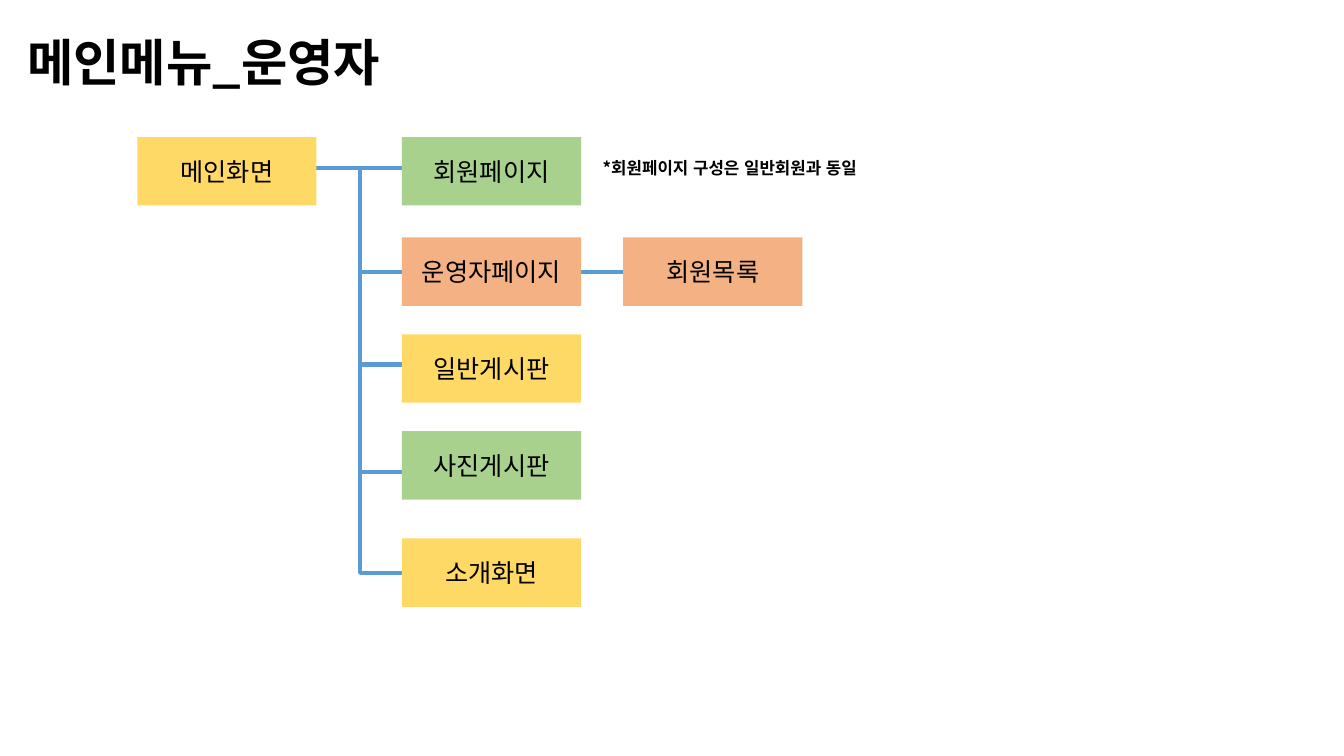
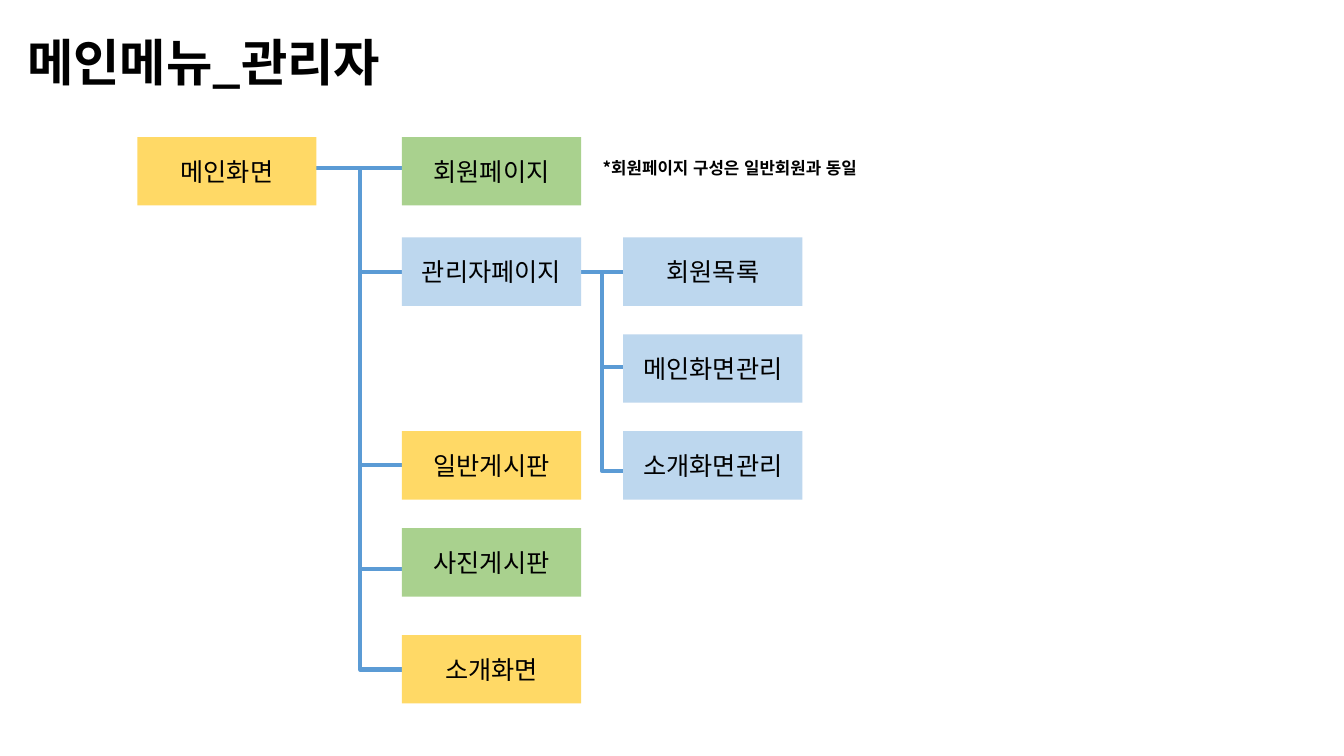
from lxml import etree
from pptx import Presentation
from pptx import util as u
from pptx.dml.color import RGBColor
from pptx.enum import lang, shapes, text
from pptx.oxml.ns import qn

Pt = u.Pt
FONT = "Noto Sans CJK KR"
BLACK = RGBColor(0x00, 0x00, 0x00)
LINE = RGBColor(0x5B, 0x9B, 0xD5)
YELLOW = RGBColor(0xFF, 0xD9, 0x66)
GREEN = RGBColor(0xA9, 0xD1, 0x8E)
ORANGE = RGBColor(0xF4, 0xB1, 0x83)
BLUE = RGBColor(0xBD, 0xD7, 0xEE)

BOX_W, BOX_H = 128, 48.9
ROOT_X, MENU_X, SUB_X = 98.1, 287.1, 445.2
MENU_TRUNK, SUB_TRUNK = 257.2, 430
ROWS = [97.9, 169.6, 238.8, 308, 377.2]
ROOT_JOIN, PAGE_JOIN = 120.2, 194.4

ROOT = ("메인화면", YELLOW, ROWS[0], ROOT_JOIN)
MEMBER = ("회원페이지", GREEN, ROWS[0], ROOT_JOIN)
NOTE = "*회원페이지 구성은 일반회원과 동일"

SLIDES = [
    ("메인메뉴_운영자",
     [MEMBER,
      ("운영자페이지", ORANGE, ROWS[1], PAGE_JOIN),
      ("일반게시판", YELLOW, ROWS[2], 260.4),
      ("사진게시판", GREEN, ROWS[3], 337.4),
      ("소개화면", YELLOW, 384.6, 409.2)],
     [("회원목록", ORANGE, ROWS[1], PAGE_JOIN)]),
    ("메인메뉴_관리자",
     [MEMBER,
      ("관리자페이지", BLUE, ROWS[1], PAGE_JOIN),
      ("일반게시판", YELLOW, ROWS[3], 332.4),
      ("사진게시판", GREEN, ROWS[4], 406.4),
      ("소개화면", YELLOW, 453.6, 478.2)],
     [("회원목록", BLUE, ROWS[1], PAGE_JOIN),
      ("메인화면관리", BLUE, ROWS[2], 262.2),
      ("소개화면관리", BLUE, ROWS[3], 336.4)]),
]


def write(tf, words, size, bold=False, align=text.PP_ALIGN.LEFT):
    tf.text = words
    p = tf.paragraphs[0]
    p.alignment = align
    r = p.runs[0]
    r.font.name = FONT
    r.font.size = Pt(size)
    r.font.bold = bold
    r.font.color.rgb = BLACK
    r.font.language_id = lang.MSO_LANGUAGE_ID.KOREAN
    ea = etree.SubElement(r.font._element, qn("a:ea"))
    ea.set("typeface", FONT)


def add_title(s, words):
    sp = s.shapes.title
    sp.left, sp.top, sp.width, sp.height = Pt(12.2), Pt(18.7), Pt(324), Pt(51)
    tf = sp.text_frame
    tf.word_wrap = True
    tf.auto_size = text.MSO_AUTO_SIZE.SHAPE_TO_FIT_TEXT
    tf.vertical_anchor = text.MSO_ANCHOR.TOP
    write(tf, words, 36, bold=True)


def add_note(s):
    sp = s.shapes.add_textbox(Pt(423.4), Pt(109.4), Pt(214.6), Pt(21.8))
    tf = sp.text_frame
    tf.word_wrap = False
    tf.auto_size = text.MSO_AUTO_SIZE.SHAPE_TO_FIT_TEXT
    write(tf, NOTE, 12, bold=True)


def add_box(s, x, item):
    words, color, top, _ = item
    sp = s.shapes.add_shape(shapes.MSO_SHAPE.RECTANGLE,
                            Pt(x), Pt(top), Pt(BOX_W), Pt(BOX_H))
    sp.shadow.inherit = False
    sp.fill.solid()
    sp.fill.fore_color.rgb = color
    sp.line.fill.background()
    sp.text_frame.vertical_anchor = text.MSO_ANCHOR.MIDDLE
    write(sp.text_frame, words, 18, align=text.PP_ALIGN.CENTER)


def add_line(s, kind, x1, y1, x2, y2):
    c = s.shapes.add_connector(kind, Pt(x1), Pt(y1), Pt(x2), Pt(y2))
    c.line.color.rgb = LINE
    c.line.width = Pt(3)
    etree.SubElement(c._element.spPr, qn("a:effectLst"))
    return c


def add_elbow(s, x1, y1, x2, y2):
    c = add_line(s, shapes.MSO_CONNECTOR.ELBOW, x1, y1, x2, y2)
    geom = c._element.spPr.find(qn("a:prstGeom"))
    guides = geom.find(qn("a:avLst"))
    if guides is None:
        guides = etree.SubElement(geom, qn("a:avLst"))
    gd = etree.SubElement(guides, qn("a:gd"))
    gd.set("name", "adj1")
    gd.set("fmla", "val 100")


def add_branches(s, trunk_x, child_x, items):
    joins = [join for _, _, _, join in items]
    for start, join in zip(joins, joins[1:]):
        end_x = SUB_X if join == PAGE_JOIN else child_x
        add_elbow(s, trunk_x, start, end_x, join)


def add_menu_slide(prs, title, menu, submenu):
    s = prs.slides.add_slide(prs.slide_layouts[5])
    add_title(s, title)
    add_branches(s, SUB_TRUNK, SUB_X, submenu)
    add_branches(s, MENU_TRUNK, MENU_X, menu)
    add_line(s, shapes.MSO_CONNECTOR.STRAIGHT,
             213.2, ROOT_JOIN, 341.2, ROOT_JOIN)
    for x, items in ((ROOT_X, [ROOT]), (MENU_X, menu), (SUB_X, submenu)):
        for item in items:
            add_box(s, x, item)
    add_note(s)


def main():
    prs = Presentation()
    prs.slide_width, prs.slide_height = Pt(960), Pt(540)
    for title, menu, submenu in SLIDES:
        add_menu_slide(prs, title, menu, submenu)
    prs.save("out.pptx")


if __name__ == "__main__":
    main()
